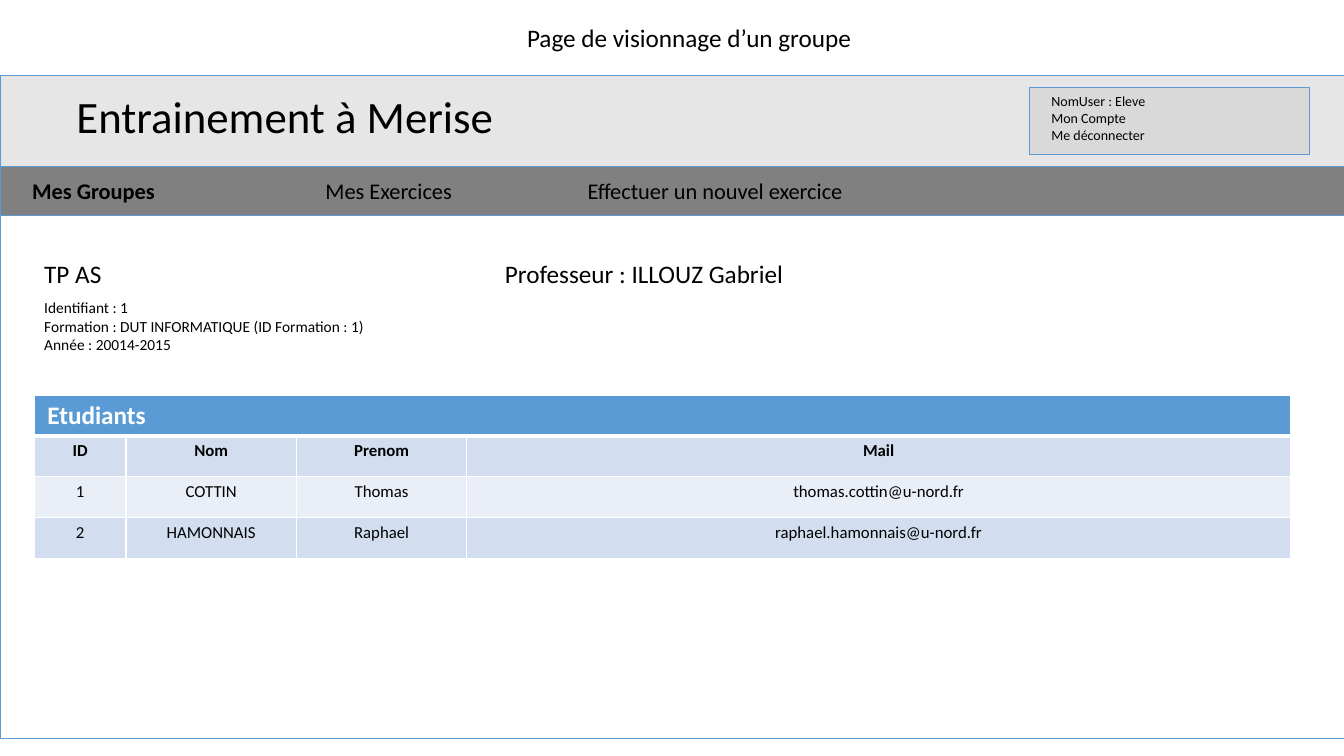
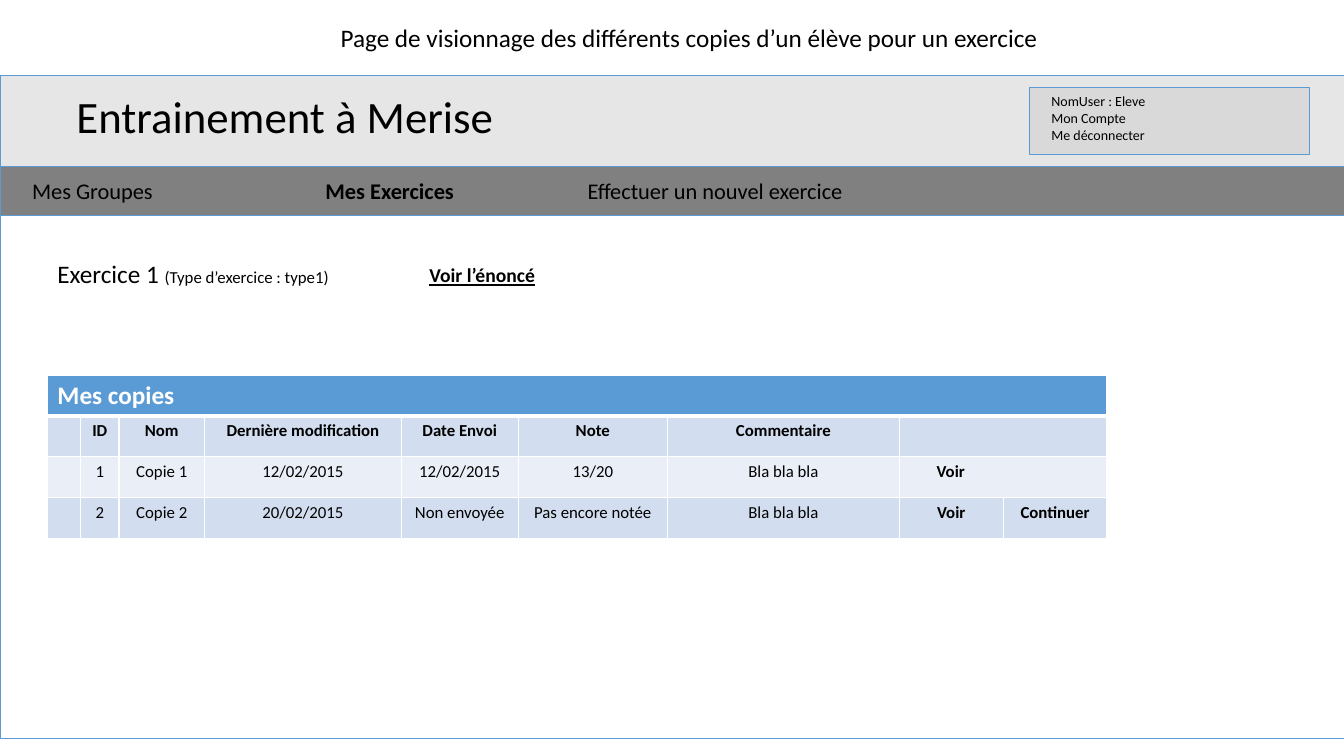
"""Build two mock-up pages of an exercise training site."""
import lxml.etree
import pptx
import pptx.dml.color
import pptx.enum.shapes
import pptx.enum.text
import pptx.oxml.ns
import pptx.util

Inches = pptx.util.Inches
ALIGN = pptx.enum.text.PP_ALIGN
FONT = "Calibri"
BLACK, WHITE, BLUE = "000000", "FFFFFF", "5B9BD5"
HEADER_GREY, ACCOUNT_GREY, MENU_GREY = "E7E6E6", "D9D9D9", "808080"
ROW_FILLS = [BLUE, "D2DEEF", "EAEFF7", "D2DEEF"]
PAGE_WIDTH = 13.33
TABLE_HEIGHT = 1.62
MENU = [("Mes Groupes", 0.22, 1.99), ("Mes Exercices", 3.13, 1.67),
        ("Effectuer un nouvel exercice", 5.73, 2.97)]


def rgb(value):
    """Turn a hex string into a colour."""
    return pptx.dml.color.RGBColor.from_string(value)


def add_run(paragraph, text, size, color=BLACK, **formats):
    """Append a formatted run to a paragraph."""
    run = paragraph.add_run()
    run.text = text
    run.font.color.rgb = rgb(color)
    for name, value in {"name": FONT, "size": pptx.util.Pt(size), **formats}.items():
        setattr(run.font, name, value)


def add_panel(slide, left, top, width, height, fill=None):
    """Draw a thinly outlined rectangle, hollow when no fill is given."""
    panel = slide.shapes.add_shape(
        pptx.enum.shapes.MSO_SHAPE.RECTANGLE,
        Inches(left), Inches(top), Inches(width), Inches(height))
    panel.shadow.inherit = False
    if fill:
        panel.fill.solid()
        panel.fill.fore_color.rgb = rgb(fill)
    else:
        panel.fill.background()
    panel.line.color.rgb = rgb(BLUE)
    panel.line.width = pptx.util.Pt(0.5)


def add_text(slide, lines, left, top, width, height, size, align=ALIGN.LEFT,
             wrap=True, **formats):
    """Place lines of text and return the last paragraph."""
    frame = slide.shapes.add_textbox(
        Inches(left), Inches(top), Inches(width), Inches(height)).text_frame
    frame.word_wrap = wrap
    frame.auto_size = pptx.enum.text.MSO_AUTO_SIZE.SHAPE_TO_FIT_TEXT
    for index, line in enumerate(lines):
        paragraph = frame.add_paragraph() if index else frame.paragraphs[0]
        paragraph.alignment = align
        add_run(paragraph, line, size, **formats)
    return paragraph


def add_borders(cell, **widths):
    """Give a cell white borders of one point unless a side says otherwise."""
    properties = cell._tc.get_or_add_tcPr()
    qn = pptx.oxml.ns.qn
    for index, side in enumerate("LRTB"):
        width = pptx.util.Pt(widths.get(side, 1))
        border = lxml.etree.Element(qn(f"a:ln{side}"), w=str(int(width)))
        fill = lxml.etree.SubElement(border, qn("a:solidFill"))
        lxml.etree.SubElement(fill, qn("a:srgbClr"), val=WHITE)
        properties.insert(index, border)


def add_listing(slide, title, rows, left, top, widths, padding=0.1, bold_from=None):
    """Add a titled table; columns from bold_from on hold bold actions."""
    rows = [[title] + [""] * (len(widths) - 1)] + rows
    table = slide.shapes.add_table(
        len(rows), len(widths), Inches(left), Inches(top),
        Inches(sum(widths)), Inches(TABLE_HEIGHT)).table
    for column, width in zip(table.columns, widths):
        column.width = Inches(width)
    for r, (row, fill) in enumerate(zip(rows, ROW_FILLS)):
        table.rows[r].height = Inches(TABLE_HEIGHT / len(rows))
        for c, text in enumerate(row):
            cell = table.cell(r, c)
            cell.fill.solid()
            cell.fill.fore_color.rgb = rgb(fill)
            cell.margin_left = cell.margin_right = Inches(padding)
            add_borders(cell, **({"B": 3} if r == 0 else {"T": 3} if r == 1 else {}))
            paragraph = cell.text_frame.paragraphs[0]
            paragraph.alignment = ALIGN.CENTER if r else ALIGN.LEFT
            if text:
                is_action = bold_from is not None and c >= bold_from
                add_run(paragraph, text, 12 if r else 18, BLACK if r else WHITE,
                        bold=r < 2 or is_action)
    table.cell(0, 0).merge(table.cell(0, len(widths) - 1))
    return table


def add_page(deck, caption, current):
    """Add a page with the site header and menu, the current entry in bold."""
    slide = deck.slides.add_slide(deck.slide_layouts[6])
    add_text(slide, [caption], 2.56, 0.17, 8.55, 0.4, 18, ALIGN.CENTER)
    add_panel(slide, 0, 2.14, PAGE_WIDTH, 5.19)
    add_panel(slide, 0, 0.75, PAGE_WIDTH, 0.9, HEADER_GREY)
    add_text(slide, ["Entrainement à Merise"], 0.66, 0.83, 5.89, 0.64, 32)
    add_panel(slide, 10.21, 0.87, 2.78, 0.66, ACCOUNT_GREY)
    add_text(slide, ["NomUser : Eleve", "Mon Compte", "Me déconnecter"],
             10.33, 0.87, 2.28, 0.61, 10)
    add_panel(slide, 0, 1.65, PAGE_WIDTH, 0.49, MENU_GREY)
    for entry, left, width in MENU:
        add_text(slide, [entry], left, 1.71, width, 0.37, 16, bold=entry == current)
    return slide


def add_group_page(deck):
    """Add the page that shows a group and its students."""
    slide = add_page(deck, "Page de visionnage d’un groupe", "Mes Groupes")
    add_text(slide, ["TP AS"], 0.34, 2.51, 1.01, 0.4, 18)
    add_text(slide, ["Identifiant : 1",
                     "Formation : DUT INFORMATIQUE (ID Formation : 1)",
                     "Année : 20014-2015"], 0.34, 2.91, 3.49, 0.66, 11)
    add_text(slide, ["Professeur : ILLOUZ Gabriel"], 4.91, 2.51, 3.15, 0.4, 18)
    students = [
        ["ID", "Nom", "Prenom", "Mail"],
        ["1", "COTTIN", "Thomas", "thomas.cottin@u-nord.fr"],
        ["2", "HAMONNAIS", "Raphael", "raphael.hamonnais@u-nord.fr"],
    ]
    add_listing(slide, "Etudiants", students, 0.34, 3.92,
                [0.91, 1.69, 1.69, 8.17], padding=0.13)


def add_copies_page(deck):
    """Add the page that shows a student's copies for an exercise."""
    slide = add_page(
        deck, "Page de visionnage des différents copies d’un élève pour un exercice",
        "Mes Exercices")
    heading = add_text(slide, ["Exercice 1 "], 0.47, 2.51, 2.96, 0.4, 18, wrap=False)
    add_run(heading, "(Type d’exercice : type1)", 12)
    add_text(slide, ["Voir l’énoncé"], 4.16, 2.56, 1.28, 0.34, 14, wrap=False,
             bold=True, underline=True)
    copies = [
        ["", "ID", "Nom", "Dernière modification", "Date Envoi", "Note",
         "Commentaire", "", ""],
        ["", "1", "Copie 1", "12/02/2015", "12/02/2015", "13/20",
         "Bla bla bla", "Voir", ""],
        ["", "2", "Copie 2", "20/02/2015", "Non envoyée", "Pas encore notée",
         "Bla bla bla", "Voir", "Continuer"],
    ]
    table = add_listing(slide, "Mes copies", copies, 0.47, 3.72,
                        [0.33, 0.38, 0.85, 1.95, 1.16, 1.48, 2.3, 1.03, 1.03],
                        bold_from=7)
    for row in (1, 2):
        table.cell(row, 7).merge(table.cell(row, 8))
    only_action = table.cell(2, 7)
    only_action.margin_left = Inches(0.37)
    only_action.text_frame.paragraphs[0].alignment = ALIGN.LEFT


def main():
    """Build and save the presentation."""
    deck = pptx.Presentation()
    deck.slide_width, deck.slide_height = Inches(PAGE_WIDTH), Inches(7.5)
    add_group_page(deck)
    add_copies_page(deck)
    deck.save("out.pptx")


main()
